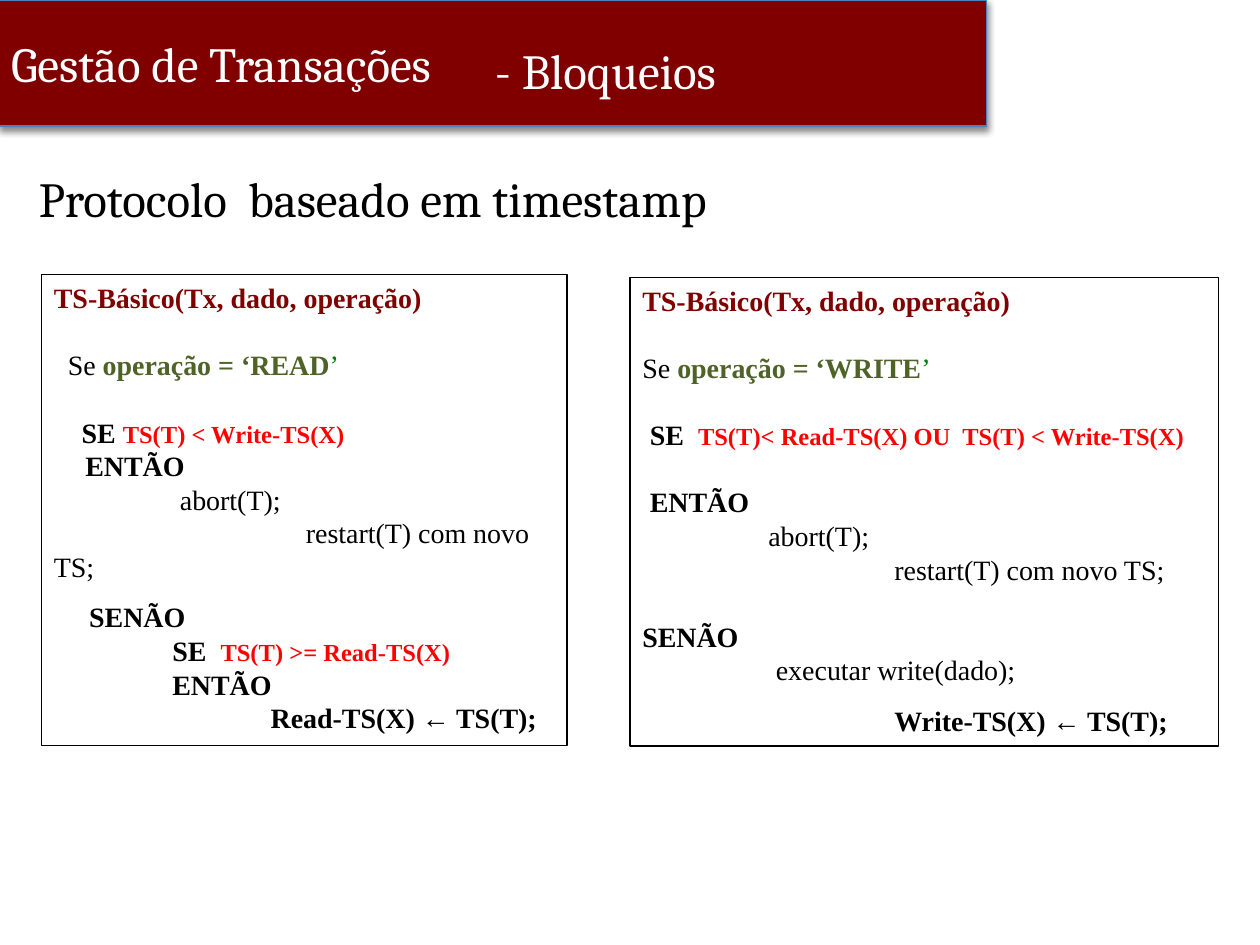
from lxml import etree
from pptx import Presentation
from pptx.dml.color import RGBColor
from pptx.enum.shapes import MSO_SHAPE
from pptx.enum.text import MSO_ANCHOR, PP_ALIGN
from pptx.oxml.ns import qn
from pptx.util import Inches, Pt

RECTANGLE = MSO_SHAPE.RECTANGLE
LEFT = PP_ALIGN.LEFT
TOP, MIDDLE = MSO_ANCHOR.TOP, MSO_ANCHOR.MIDDLE

HEADING_FONT, CODE_FONT = "Cambria", "Times New Roman"
WHITE, BLACK, MAROON = "FFFFFF", "000000", "800000"
BLUE, OLIVE, GREEN, RED = "4F81BD", "4F6228", "008000", "FF0000"
LINE, HALF = 19.2, 9.6  # space before a line, in points

# Run styles: size, colour, bold
PLAIN = (16, BLACK, False)
KEYWORD = (16, BLACK, True)
SIGNATURE = (16, MAROON, True)
OPERATION = (16, OLIVE, True)
QUOTE = (16, GREEN, False)
CONDITION = (14, RED, True)
HEADING = (28, BLACK, False)
BANNER = (28, WHITE, False)

# Algorithm lines: first-line indent (inches), space before (points), runs
SIGNATURE_LINE = (0, 0, [("TS-Básico(Tx, dado, operação)", SIGNATURE)])
ABORT_LINES = [
    (1, 0, [("abort(T);", PLAIN)]),
    (2, 0, [("restart(T) com novo TS;", PLAIN)]),
]
READ_LINES = [
    SIGNATURE_LINE,
    (0.11, LINE, [("Se ", PLAIN), ("operação = ‘READ", OPERATION), ("’", QUOTE)]),
    (0.22, LINE, [("SE ", KEYWORD), ("TS(T) < Write-TS(X)", CONDITION)]),
    (0.25, 0, [("ENTÃO", KEYWORD)]),
    *ABORT_LINES,
    (0.28, HALF, [("SENÃO", KEYWORD)]),
    (0.94, 0, [("SE  ", KEYWORD), ("TS(T) >= Read-TS(X)", CONDITION)]),
    (0.94, 0, [("ENTÃO", KEYWORD)]),
    (1.72, 0, [("Read-TS(X) ← TS(T);", KEYWORD)]),
]
WRITE_LINES = [
    SIGNATURE_LINE,
    (0, LINE, [("Se ", PLAIN), ("operação = ‘WRITE", OPERATION), ("’", QUOTE)]),
    (0.06, LINE, [("SE  ", KEYWORD),
                  ("TS(T)< Read-TS(X) OU  TS(T) < Write-TS(X)", CONDITION)]),
    (0.06, LINE, [("ENTÃO", KEYWORD)]),
    *ABORT_LINES,
    (0, LINE, [("SENÃO", KEYWORD)]),
    (1.06, 0, [("executar write(dado);", PLAIN)]),
    (2, HALF, [("Write-TS(X) ← TS(T);", KEYWORD)]),
]
BOX_BOTTOM = 5.92
ALGORITHMS = [  # left, top, width, lines
    (0.33, 2.18, 4.17, READ_LINES),
    (5, 2.2, 4.67, WRITE_LINES),
]
HEADINGS = [  # left, top, width, height, anchor, text, style
    (0.21, 0.99, 9.46, 0.93, MIDDLE, "Protocolo  baseado em timestamp", HEADING),
    (3.83, 0.04, 2.67, 0.75, TOP, "- Bloqueios", BANNER),
]


def rgb(value):
    return RGBColor.from_string(value)


def add_rectangle(slide, frame, line_colour, fill_colour=None):
    rectangle = slide.shapes.add_shape(RECTANGLE, *map(Inches, frame))
    rectangle.shadow.inherit = False
    if fill_colour:
        rectangle.fill.solid()
        rectangle.fill.fore_color.rgb = rgb(fill_colour)
    else:
        rectangle.fill.background()
    rectangle.line.color.rgb = rgb(line_colour)
    rectangle.line.width = Pt(0.75)
    return rectangle


def add_drop_shadow(shape):
    effects = shape.element.spPr.find(qn("a:effectLst"))
    shadow = etree.SubElement(effects, qn("a:outerShdw"), blurRad=str(Pt(4)),
                              dist=str(Pt(2)), dir="5400000", rotWithShape="0")
    colour = etree.SubElement(shadow, qn("a:srgbClr"), val=BLACK)
    etree.SubElement(colour, qn("a:alpha"), val="45000")


def write_lines(shape, lines, font_name, anchor, line_spacing=None):
    frame = shape.text_frame
    frame.word_wrap = True
    frame.vertical_anchor = anchor
    for number, (indent, space_before, runs) in enumerate(lines):
        paragraph = frame.add_paragraph() if number else frame.paragraphs[0]
        paragraph.alignment = LEFT
        paragraph.line_spacing = line_spacing
        paragraph.space_before = Pt(space_before)
        properties = paragraph._p.get_or_add_pPr()
        properties.set("marL", "0")
        properties.set("indent", str(Inches(indent)))
        for text, (size, colour, bold) in runs:
            run = paragraph.add_run()
            run.text = text
            run.font.name = font_name
            run.font.size = Pt(size)
            run.font.bold = bold
            run.font.color.rgb = rgb(colour)


presentation = Presentation()
presentation.slide_width, presentation.slide_height = Inches(10), Inches(7.5)
slide = presentation.slides.add_slide(presentation.slide_layouts[6])

# Banner
banner = add_rectangle(slide, (-0.01, 0, 7.84, 1), BLUE, MAROON)
add_drop_shadow(banner)
write_lines(banner, [(0, 0, [("Gestão de Transações", BANNER)])], HEADING_FONT, MIDDLE)

# Headings
for left, top, width, height, anchor, text, style in HEADINGS:
    heading = slide.shapes.add_textbox(*map(Inches, (left, top, width, height)))
    write_lines(heading, [(0, 0, [(text, style)])], HEADING_FONT, anchor, 1.5)

# Algorithm boxes
for left, top, width, lines in ALGORITHMS:
    box = add_rectangle(slide, (left, top, width, BOX_BOTTOM - top), BLACK)
    write_lines(box, lines, CODE_FONT, TOP)

presentation.save("out.pptx")
